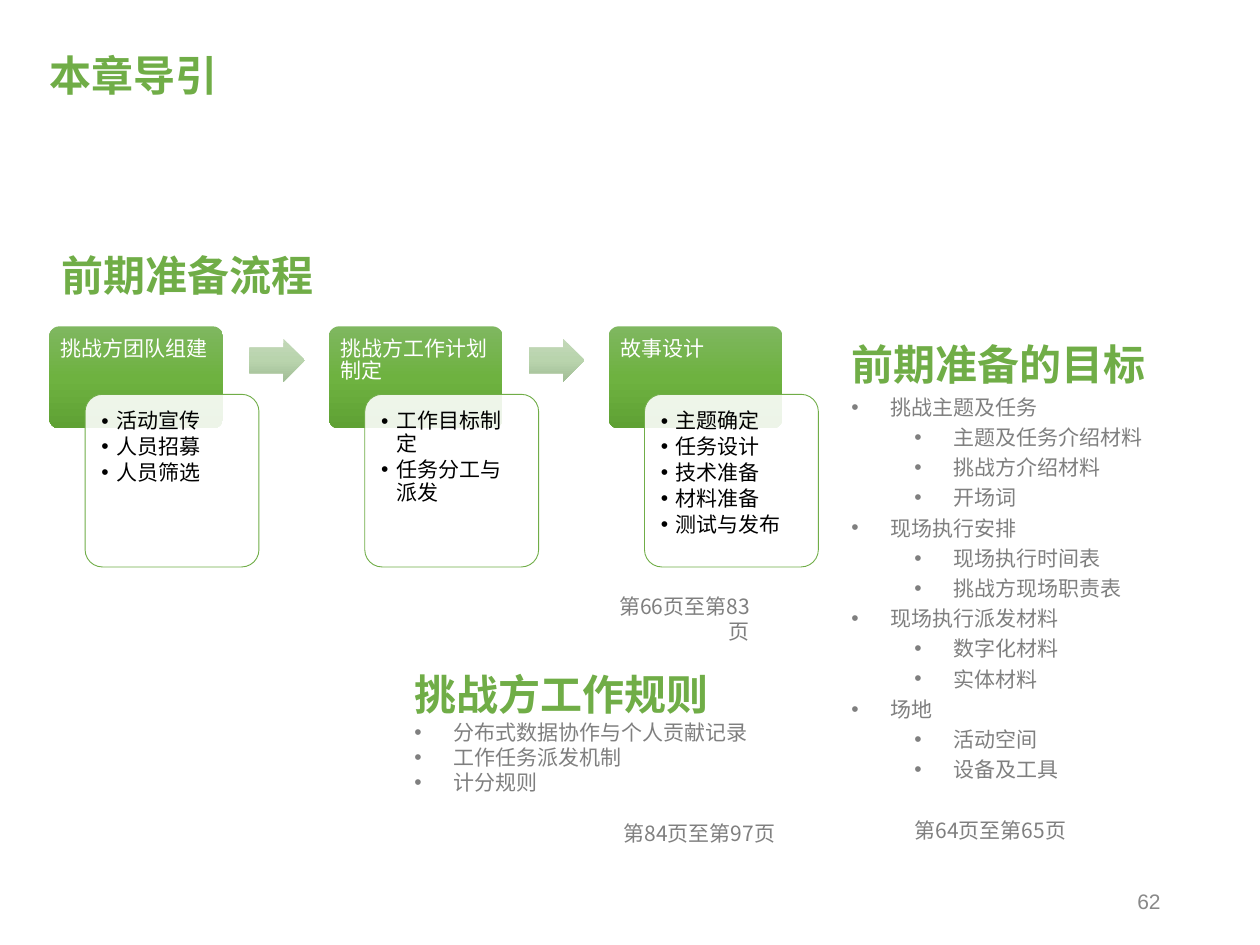
from lxml.etree import SubElement
from pptx import Presentation
from pptx.dml.color import RGBColor
from pptx.enum.shapes import MSO_SHAPE as SHAPE
from pptx.enum.text import MSO_ANCHOR as ANCHOR, PP_ALIGN as ALIGN
from pptx.oxml.ns import qn
from pptx.util import Inches, Pt

# Content
TITLE = "本章导引"
FLOW_TITLE = "前期准备流程"
FLOW = [
    ("挑战方团队组建", ["活动宣传", "人员招募", "人员筛选"]),
    ("挑战方工作计划制定", ["工作目标制定", "任务分工与派发"]),
    ("故事设计", ["主题确定", "任务设计", "技术准备", "材料准备", "测试与发布"]),
]
FLOW_PAGES = "第66页至第83页"
RULES_TITLE = "挑战方工作规则"
RULES = ["分布式数据协作与个人贡献记录", "工作任务派发机制", "计分规则"]
RULES_PAGES = "第84页至第97页"
GOALS_TITLE = "前期准备的目标"
GOALS = [
    ("挑战主题及任务", ["主题及任务介绍材料", "挑战方介绍材料", "开场词"]),
    ("现场执行安排", ["现场执行时间表", "挑战方现场职责表"]),
    ("现场执行派发材料", ["数字化材料", "实体材料"]),
    ("场地", ["活动空间", "设备及工具"]),
]
GOALS_PAGES = "第64页至第65页"
PAGE_NUMBER = "62"

# Style
CJK = "Noto Sans CJK SC"
GREEN, GRAY, WHITE, BLACK = "70AD47", "7F7F7F", "FFFFFF", "000000"
HEAD_GRADIENT = ["7FB760", "6EB240", "5FA134"]
ARROW_GRADIENT = ["C2D8B8", "B9D4AD", "A1BD96"]
HEADING = dict(size=24, color=GREEN, bold=True, left=0.31, hang=0.31)
ITEM = dict(left=0.31, hang=0.31, bullet=True)
SUBITEM = dict(ITEM, left=0.81, level=1)

# Flow grid: one column per step, each card offset from its header
LEFT, TOP, STEP = 0.39, 2.59, 2.22
HEAD_W, HEAD_H, CARD_H = 1.38, 0.81, 1.37
CARD_DX, CARD_DY = 0.285, 0.54
ARROW_DX, ARROW_DY, ARROW_W, ARROW_H = 1.59, 0.1, 0.44, 0.34


def rgb(color):
    return RGBColor.from_string(color)


def setup(tf, insets=(0.1, 0.05, 0.1, 0.05), anchor=ANCHOR.TOP, wrap=True):
    tf.word_wrap, tf.vertical_anchor = wrap, anchor
    tf.margin_left, tf.margin_top, tf.margin_right, tf.margin_bottom = map(Inches, insets)
    return tf


def write(tf, text, size=12, color=GRAY, font=CJK, bold=False, align=ALIGN.LEFT,
          level=0, left=0, hang=0, bullet=False, line=1.0, before=0, after=0):
    """Fill the first paragraph if it is empty, otherwise append one."""
    p = tf.paragraphs[0] if not tf.text else tf.add_paragraph()
    p.alignment, p.level, p.line_spacing = align, level, line
    p.space_before, p.space_after = Pt(before), Pt(after)
    pPr = p._p.get_or_add_pPr()
    pPr.set("marL", str(Inches(left)))
    pPr.set("indent", str(-Inches(hang)))
    if bullet:
        SubElement(pPr, qn("a:buFont"), typeface="Arial")
        SubElement(pPr, qn("a:buChar"), char="•")
    else:
        SubElement(pPr, qn("a:buNone"))
    r = p.add_run()
    r.text = text
    f = r.font
    f.size, f.bold, f.name, f.color.rgb = Pt(size), bold, font, rgb(color)
    if font == CJK:
        SubElement(r._r.get_or_add_rPr(), qn("a:ea"), typeface=CJK)


def add_text(s, x, y, w, h, **frame):
    box = s.shapes.add_textbox(*map(Inches, (x, y, w, h)))
    return setup(box.text_frame, **frame)


def add_shape(s, kind, x, y, w, h, adjustments):
    sp = s.shapes.add_shape(kind, *map(Inches, (x, y, w, h)))
    sp.shadow.inherit = False
    sp.line.fill.background()
    for i, value in enumerate(adjustments):
        sp.adjustments[i] = value
    return sp


def fill_gradient(sp, colors):
    sp.fill.gradient()
    sp.fill.gradient_angle = 270
    stops = sp._element.spPr.find(qn("a:gradFill")).find(qn("a:gsLst"))
    for stop in list(stops):
        stops.remove(stop)
    for i, color in enumerate(colors):
        stop = SubElement(stops, qn("a:gs"), pos=str(i * 100000 // (len(colors) - 1)))
        SubElement(stop, qn("a:srgbClr"), val=color)


def add_step(s, x, name, items):
    head = add_shape(s, SHAPE.ROUNDED_RECTANGLE, x, TOP, HEAD_W, HEAD_H, [0.1])
    fill_gradient(head, HEAD_GRADIENT)
    write(setup(head.text_frame, (0.07, 0.07, 0.07, 0.05)), name,
          font="Arial", color=WHITE, line=0.9)

    card = add_shape(s, SHAPE.ROUNDED_RECTANGLE, x + CARD_DX, TOP + CARD_DY,
                     HEAD_W, CARD_H, [0.1])
    card.fill.solid()
    card.fill.fore_color.rgb = rgb(WHITE)
    white = card._element.spPr.find(qn("a:solidFill")).find(qn("a:srgbClr"))
    SubElement(white, qn("a:alpha"), val="89000")
    card.line.color.rgb, card.line.width = rgb(GREEN), Pt(0.5)
    tf = setup(card.text_frame, (0.09,) * 4)
    for item in items:
        write(tf, item, font="Arial", color=BLACK, level=1, left=0.12, hang=0.12,
              bullet=True, line=0.9, after=1.8)


def main():
    prs = Presentation()
    prs.slide_width, prs.slide_height = Inches(10), Inches(7.5)
    s = prs.slides.add_slide(prs.slide_layouts[5])

    # Title
    title = s.shapes.title
    title.left, title.top, title.width, title.height = map(Inches, (0, 0.26, 10, 0.59))
    write(setup(title.text_frame, (0.39, 0.05, 0.1, 0.05), ANCHOR.BOTTOM), TITLE,
          size=24, color=GREEN, font="Montserrat", bold=True, line=0.9)

    # Working rules
    tf = add_text(s, 3.19, 5.06, 3.06, 1.72)
    write(tf, RULES_TITLE, line=1.5, **HEADING)
    for rule in RULES:
        write(tf, rule, **ITEM)
    write(tf, RULES_PAGES, align=ALIGN.RIGHT, before=14.5)

    # Preparation flow
    write(add_text(s, LEFT, 1.93, 2.22, 0.51, wrap=False), FLOW_TITLE, **HEADING)
    for i, (name, items) in enumerate(FLOW):
        x = LEFT + i * STEP
        add_step(s, x, name, items)
        if i < len(FLOW) - 1:
            arrow = add_shape(s, SHAPE.RIGHT_ARROW, x + ARROW_DX, TOP + ARROW_DY,
                              ARROW_W, ARROW_H, [0.6, 0.5])
            fill_gradient(arrow, ARROW_GRADIENT)
    write(add_text(s, 4.67, 4.66, 1.38, 0.3), FLOW_PAGES, align=ALIGN.RIGHT, level=1)

    # Preparation goals
    tf = add_text(s, 6.66, 2.44, 2.63, 4.34, wrap=False)
    write(tf, GOALS_TITLE, line=1.5, **HEADING)
    for goal, details in GOALS:
        write(tf, goal, line=1.2, **ITEM)
        for detail in details:
            write(tf, detail, line=1.2, **SUBITEM)
    write(tf, GOALS_PAGES, level=1, left=0.5, line=1.2, before=17.5)

    # Page number
    write(add_text(s, 7.06, 6.95, 2.25, 0.4, anchor=ANCHOR.MIDDLE), PAGE_NUMBER,
          font="Arial", color="898989", align=ALIGN.RIGHT)

    prs.save("out.pptx")


if __name__ == "__main__":
    main()
